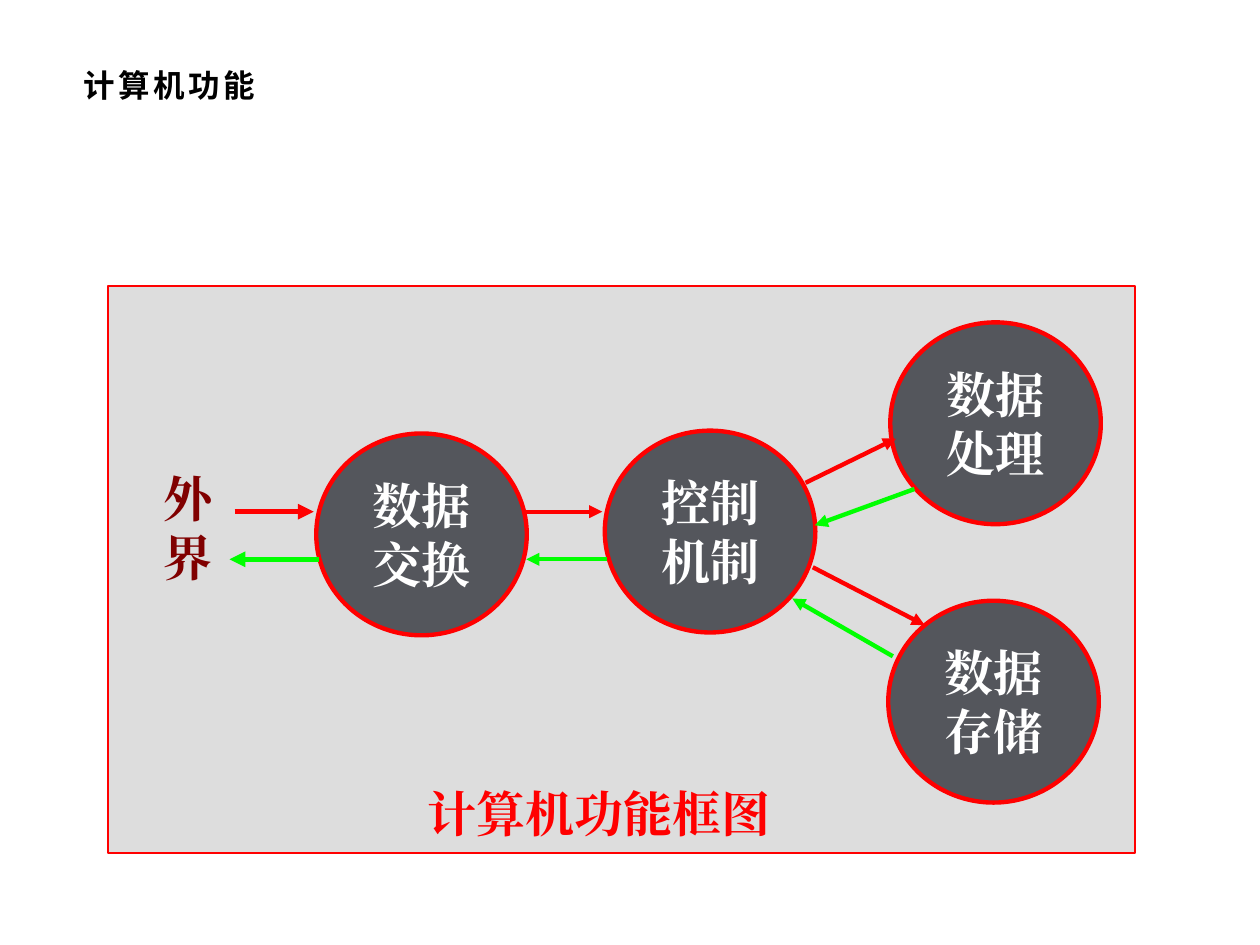
import pptx
import pptx.dml.color
import pptx.enum.shapes
import pptx.enum.text
import pptx.util
from lxml import etree
from pptx.oxml.ns import qn

SHAPES = pptx.enum.shapes.MSO_SHAPE
ANCHOR = pptx.enum.text.MSO_ANCHOR
ALIGN = pptx.enum.text.PP_ALIGN
RED, GREEN, MAROON = "FF0000", "00FF00", "800000"
WHITE, BLACK, CHARCOAL, SILVER = "FFFFFF", "000000", "54565C", "DDDDDD"

NODE_SIZE = (20.5, 35.6)
# Centres, sizes and arrow ends are percentages of the diagram's box.
NODES = [
    ("数据交换", 30.5, 43.8),
    ("控制机制", 58.6, 43.3),
    ("数据处理", 86.4, 24.2),
    ("数据存储", 86.2, 73.3),
]
FLOWS = [
    ((40.5, 39.8), (48.1, 39.8), RED, 2.5),
    ((48.6, 48.2), (40.7, 48.2), GREEN, 2.5),
    ((67.9, 34.7), (76.7, 26.9), RED, 2.5),
    ((78.5, 35.8), (68.8, 42.2), GREEN, 2.5),
    ((68.6, 49.6), (79.5, 59.8), RED, 2.5),
    ((76.4, 65.3), (66.6, 55.1), GREEN, 2.5),
    ((12.3, 39.8), (20, 39.8), RED, 3),
    ((20.5, 48.2), (11.8, 48.2), GREEN, 3),
]
LABELS = [
    ("外界", (4.2, 31.1, 6.4, 22.9), MAROON),
    ("计算机功能框图", (29.9, 86.7, 39.4, 12.7), RED),
]


def rgb(colour):
    return pptx.dml.color.RGBColor.from_string(colour)


def within(box, left, top, width=0, height=0):
    """Turn percentages of a box into slide lengths."""
    box_left, box_top, box_width, box_height = box
    return (int(box_left + box_width * left / 100),
            int(box_top + box_height * top / 100),
            int(box_width * width / 100),
            int(box_height * height / 100))


def write(frame, wording, size, colour, typeface, align=ALIGN.LEFT):
    frame.word_wrap = True
    paragraph = frame.paragraphs[0]
    paragraph.alignment = align
    paragraph.space_before = pptx.util.Pt(0)
    run = paragraph.add_run()
    run.text = wording
    run.font.size = pptx.util.Pt(size)
    run.font.bold = True
    run.font.color.rgb = rgb(colour)
    run.font.name = typeface
    east_asian = etree.SubElement(run.font._element, qn("a:ea"))
    east_asian.set("typeface", typeface)
    return run


def outlined(group, kind, place, fill, line_width):
    shape = group.shapes.add_shape(kind, *place)
    shape.shadow.inherit = False
    shape.fill.solid()
    shape.fill.fore_color.rgb = rgb(fill)
    shape.line.color.rgb = rgb(RED)
    shape.line.width = pptx.util.Pt(line_width)
    return shape


def add_node(group, box, wording, centre_x, centre_y):
    width, height = NODE_SIZE
    place = within(box, centre_x - width / 2, centre_y - height / 2, width, height)
    node = outlined(group, SHAPES.OVAL, place, CHARCOAL, 2.5)
    node.text_frame.vertical_anchor = ANCHOR.MIDDLE
    write(node.text_frame, wording, 28, WHITE, "Times New Roman", ALIGN.CENTER)


def add_flow(group, box, start, end, colour, width):
    arrow = group.shapes.add_connector(
        pptx.enum.shapes.MSO_CONNECTOR.STRAIGHT,
        *within(box, *start)[:2], *within(box, *end)[:2])
    arrow.line.color.rgb = rgb(colour)
    arrow.line.width = pptx.util.Pt(width)
    etree.SubElement(arrow.line._get_or_add_ln(), qn("a:tailEnd")).set("type", "triangle")
    etree.SubElement(arrow._element.spPr, qn("a:effectLst"))


def add_title(slide, box, wording):
    title = slide.shapes.title
    title.left, title.top, title.width, title.height = box
    frame = title.text_frame
    frame.auto_size = pptx.enum.text.MSO_AUTO_SIZE.NONE
    frame.vertical_anchor = ANCHOR.TOP
    frame.margin_left, frame.margin_right = pptx.util.Inches(0.11), pptx.util.Inches(0.08)
    frame.margin_top = frame.margin_bottom = pptx.util.Inches(0.04)
    heading = write(frame, wording, 18, BLACK, "Noto Sans CJK SC")
    heading.font._element.set("spc", "200")


def add_diagram(slide, box):
    group = slide.shapes.add_group_shape()
    outlined(group, SHAPES.RECTANGLE, box, SILVER, 1)
    for node in NODES:
        add_node(group, box, *node)
    for flow in FLOWS:
        add_flow(group, box, *flow)
    for wording, place, colour in LABELS:
        label = group.shapes.add_textbox(*within(box, *place))
        write(label.text_frame, wording, 28, colour, "Times New Roman")


def main():
    deck = pptx.Presentation()
    deck.slide_width, deck.slide_height = pptx.util.Inches(10), pptx.util.Inches(7.5)
    page = (0, 0, deck.slide_width, deck.slide_height)
    slide = deck.slides.add_slide(deck.slide_layouts.get_by_name("Title Only"))
    add_title(slide, within(page, 5.5, 6.4, 89, 6.4), "计算机功能")
    add_diagram(slide, within(page, 8.6, 30.27, 81.5, 60))
    deck.save("out.pptx")


if __name__ == "__main__":
    main()
